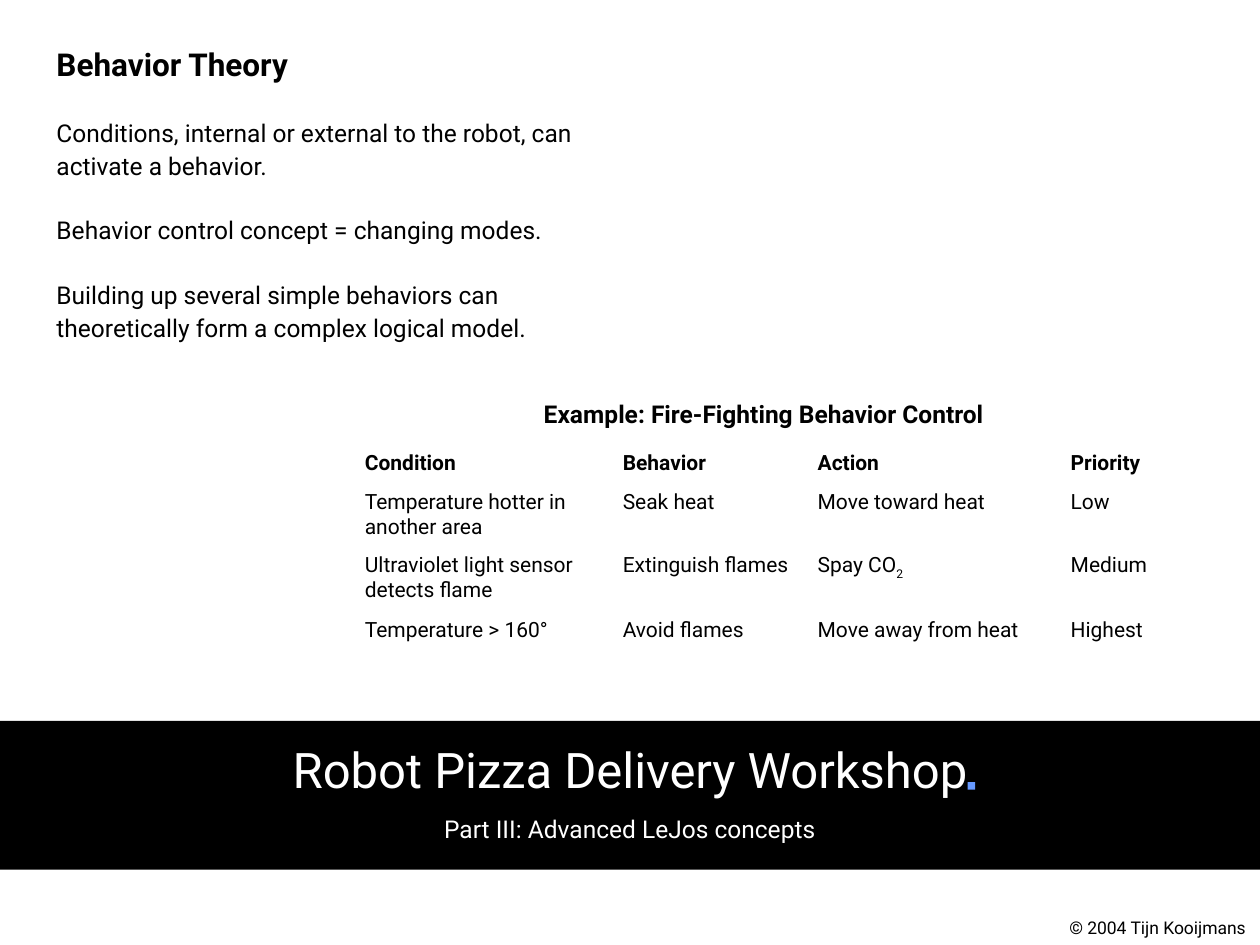
from pptx import Presentation
from pptx.dml.color import RGBColor
from pptx.enum.shapes import MSO_SHAPE
from pptx.enum.text import PP_ALIGN
from pptx.util import Pt

BLACK = RGBColor(0x00, 0x00, 0x00)
WHITE = RGBColor(0xFF, 0xFF, 0xFF)
BLUE = RGBColor(0x66, 0x99, 0xFF)
RECT = MSO_SHAPE.RECTANGLE
LEFT, CENTER = PP_ALIGN.LEFT, PP_ALIGN.CENTER


class Deck:
    """Holds the style and the current slide; all lengths are in points."""

    face = "Roboto"

    def __init__(self, wide, high):
        self.prs = Presentation()
        self.prs.slide_width, self.prs.slide_height = Pt(wide), Pt(high)
        self.slide = self.prs.slides.add_slide(self.prs.slide_layouts[6])

    def style(self, par, size, color=BLACK, bold=False, align=LEFT):
        par.alignment = align
        font = par.font
        font.name, font.size, font.bold = self.face, Pt(size), bold
        font.color.rgb = color

    def rect(self, box, color):
        shape = self.slide.shapes.add_shape(RECT, *map(Pt, box))
        shape.shadow.inherit = False
        shape.fill.solid()
        shape.fill.fore_color.rgb = color
        shape.line.fill.background()

    def text(self, box, lines, gap=0, space=None, wrap=True, **look):
        """Each line is (text, size, bold); gap goes before all but the first."""
        frame = self.slide.shapes.add_textbox(*map(Pt, box)).text_frame
        frame.word_wrap = wrap
        for i, (words, size, bold) in enumerate(lines):
            par = frame.add_paragraph() if i else frame.paragraphs[0]
            par.text = words
            if i:
                par.space_before = Pt(gap)
            if space:
                par.line_spacing = space
            self.style(par, size, bold=bold, **look)

    def table(self, left, top, cols, rows, title, data):
        """The title spans the first row; the data starts with its heads."""
        box = map(Pt, (left, top, sum(cols), sum(rows)))
        grid = self.slide.shapes.add_table(len(rows), len(cols), *box).table
        grid.first_row = grid.horz_banding = False
        for col, width in zip(grid.columns, cols):
            col.width = Pt(width)
        for row, height in zip(grid.rows, rows):
            row.height = Pt(height)
        for cell in grid.iter_cells():
            cell.fill.background()

        head = grid.cell(0, 0)
        head.merge(grid.cell(0, len(cols) - 1))
        head.text = title
        self.style(head.text_frame.paragraphs[0], 14, bold=True, align=CENTER)

        for r, words in enumerate(data, 1):
            for c, word in enumerate(words):
                par = grid.cell(r, c).text_frame.paragraphs[0]
                base, _, sub = word.partition("_")
                par.add_run().text = base
                if sub:
                    run = par.add_run()
                    run.text = sub
                    run.font._element.set("baseline", "-25000")
                self.style(par, 12, bold=r == 1)


def main():
    deck = Deck(720, 540)

    # Banner and footer
    deck.rect((0, 412, 720, 85), BLACK)
    deck.text((0, 419, 720, 66),
              [("Robot Pizza Delivery Workshop", 28, False),
               ("Part III: Advanced LeJos concepts", 14, False)],
              gap=8.8, color=WHITE, align=CENTER)
    deck.rect((553, 447, 4.3, 4.3), BLUE)
    deck.text((604, 520.5, 119, 19.5),
              [("© 2004 Tijn Kooijmans", 10, False)], wrap=False)

    # Theory
    deck.text((25.2, 20.2, 329, 235),
              [("Behavior Theory", 18, True),
               ("Conditions, internal or external to the robot, "
                "can activate a behavior.", 14, False),
               ("Behavior control concept = changing modes.", 14, False),
               ("Building up several simple behaviors can theoretically "
                "form a complex logical model.", 14, False)],
              gap=18.5, space=1.1)

    # Example; an underscore starts a subscript
    deck.table(201.3, 225.4, (147.4, 111.4, 144.6, 67),
               (28.8, 22.3, 36, 37.2, 21.6),
               "Example: Fire-Fighting Behavior Control", [
        ("Condition", "Behavior", "Action", "Priority"),
        ("Temperature hotter in another area", "Seak heat",
         "Move toward heat", "Low"),
        ("Ultraviolet light sensor detects flame", "Extinguish flames",
         "Spay CO_2", "Medium"),
        ("Temperature > 160°", "Avoid flames",
         "Move away from heat", "Highest"),
    ])

    deck.prs.save("out.pptx")


if __name__ == "__main__":
    main()
